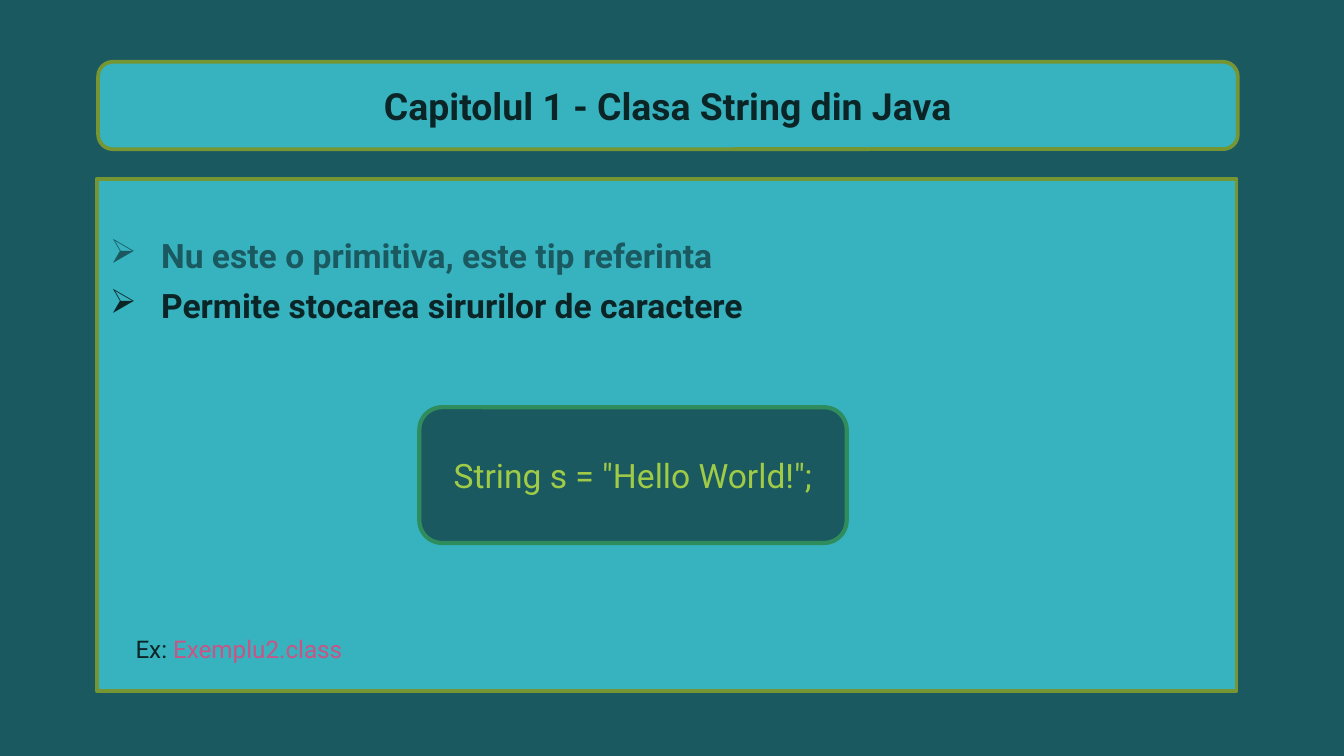
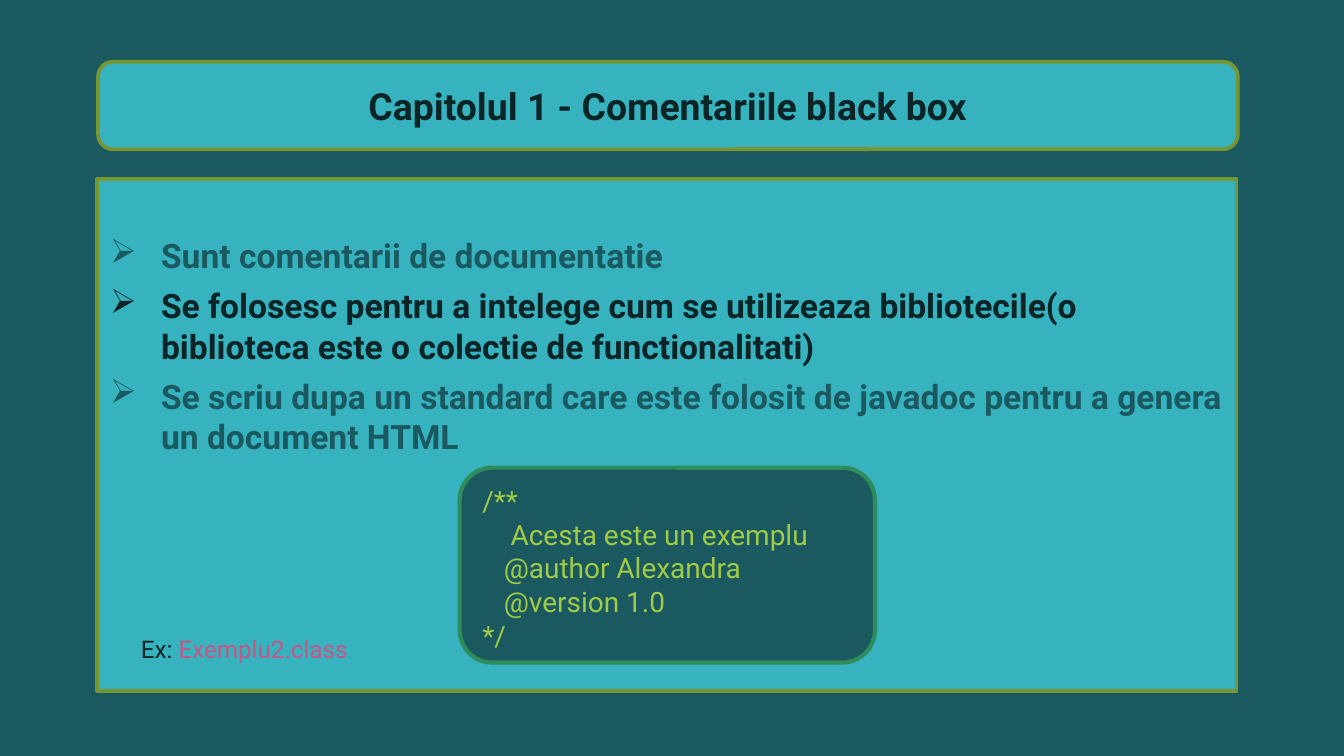
from lxml import etree
from pptx import Presentation
from pptx.dml.color import RGBColor
from pptx.enum.shapes import MSO_SHAPE as Shape
from pptx.enum.text import MSO_ANCHOR as Anchor, MSO_AUTO_SIZE as AutoSize, PP_ALIGN as Align
from pptx.oxml.ns import qn
from pptx.util import Inches, Pt

FONT = "Roboto"
TEAL, AQUA, INK = "1B5960", "37B2BF", "0B2426"
OLIVE, GREEN, LIME, PINK = "769634", "2F8C5D", "A0CB46", "C95584"


def color(hex_code):
    return RGBColor.from_string(hex_code)


def add_text(para, text, size=18, ink=INK, bold=False, align=Align.LEFT,
             after=0, indent=0, bullet=None):
    """Append a run to para; a bullet hangs to the left of the indent."""
    span = para.add_run()
    span.text = text
    span.font.name, span.font.size, span.font.bold = FONT, Pt(size), bold
    span.font.color.rgb = color(ink)
    para.alignment = align
    para.space_after = Pt(after)
    properties = para._p.get_or_add_pPr()
    properties.set("marL", str(Inches(indent)))
    properties.set("indent", str(-Inches(indent) if bullet else 0))
    if bullet:
        etree.SubElement(properties, qn("a:buChar")).set("char", bullet)


def paragraphs(frame, count):
    return [frame.paragraphs[0]] + [frame.add_paragraph() for _ in range(count - 1)]


def flatten_corner(shape):
    """Set the fold of a folded corner to zero."""
    geometry = shape._element.spPr.find(qn("a:prstGeom"))
    guides = geometry.find(qn("a:avLst"))
    if guides is None:
        guides = etree.SubElement(geometry, qn("a:avLst"))
    guide = etree.SubElement(guides, qn("a:gd"))
    guide.set("name", "adj")
    guide.set("fmla", "val 0")


class ChapterDeck:
    def __init__(self):
        self.deck = Presentation()
        self.deck.slide_width, self.deck.slide_height = Inches(10), Inches(5.625)
        self.slide = None

    def new_slide(self, title):
        self.slide = self.deck.slides.add_slide(self.deck.slide_layouts[6])
        background = self.slide.background.fill
        background.solid()
        background.fore_color.rgb = color(TEAL)
        frame = self.box(Shape.ROUNDED_RECTANGLE, 0.73, 0.46, 8.48, 0.65).text_frame
        add_text(frame.paragraphs[0], title, size=20, bold=True, align=Align.CENTER)

    def box(self, kind, left, top, width, height, fill=AQUA, line=OLIVE, weight=2):
        shape = self.slide.shapes.add_shape(
            kind, Inches(left), Inches(top), Inches(width), Inches(height))
        shape.shadow.inherit = False
        shape.fill.solid()
        shape.fill.fore_color.rgb = color(fill)
        shape.line.color.rgb = color(line)
        shape.line.width = Pt(weight)
        shape.text_frame.word_wrap = True
        shape.text_frame.vertical_anchor = Anchor.MIDDLE
        return shape

    def bullet_panel(self, points):
        """Main panel whose points alternate between teal and dark ink."""
        panel = self.box(Shape.FOLDED_CORNER, 0.72, 1.33, 8.48, 3.81)
        flatten_corner(panel)
        frame = panel.text_frame
        frame.vertical_anchor = Anchor.TOP
        frame.margin_top = Inches(0.42)
        for index, para in enumerate(paragraphs(frame, len(points))):
            add_text(para, points[index], ink=INK if index % 2 else TEAL,
                     bold=True, after=5.2, indent=0.38, bullet="➢")

    def code_box(self, left, top, width, height, lines, anchor=Anchor.MIDDLE, **style):
        """Code sample; lines holds pairs of text and indent in inches."""
        frame = self.box(Shape.ROUNDED_RECTANGLE, left, top, width, height,
                         fill=TEAL, line=GREEN, weight=2.25).text_frame
        frame.vertical_anchor = anchor
        for para, (text, indent) in zip(paragraphs(frame, len(lines)), lines):
            add_text(para, text, ink=LIME, indent=indent, **style)

    def example(self, left, file_name):
        box = self.slide.shapes.add_textbox(
            Inches(left), Inches(4.67), Inches(3.12), Inches(0.32))
        frame = box.text_frame
        frame.word_wrap = True
        frame.auto_size = AutoSize.SHAPE_TO_FIT_TEXT
        para = frame.paragraphs[0]
        add_text(para, "Ex: ", size=13)
        add_text(para, file_name, size=13, ink=PINK)


def main():
    chapter = ChapterDeck()

    chapter.new_slide("Capitolul 1 - Clasa String din Java")
    chapter.bullet_panel([
        "Nu este o primitiva, este tip referinta",
        "Permite stocarea sirurilor de caractere",
    ])
    chapter.code_box(3.12, 3.03, 3.18, 1.01, [('String s = "Hello World!";', 0)],
                     align=Align.CENTER)
    chapter.example(0.91, "Exemplu2.class")

    chapter.new_slide("Capitolul 1 - Comentariile black box")
    chapter.bullet_panel([
        "Sunt comentarii de documentatie",
        "Se folosesc pentru a intelege cum se utilizeaza bibliotecile"
        "(o biblioteca este o colectie de functionalitati)",
        "Se scriu dupa un standard care este folosit de javadoc "
        "pentru a genera un document HTML",
    ])
    chapter.code_box(3.42, 3.48, 3.09, 1.45, [
        ("/**", 0),
        ("Acesta este un exemplu", 0.21),
        ("@author Alexandra", 0.16),
        ("@version 1.0", 0.16),
        ("*/", 0),
    ], anchor=Anchor.TOP, size=15)
    chapter.example(0.95, "Exemplu2.class")

    chapter.deck.save("out.pptx")


if __name__ == "__main__":
    main()
